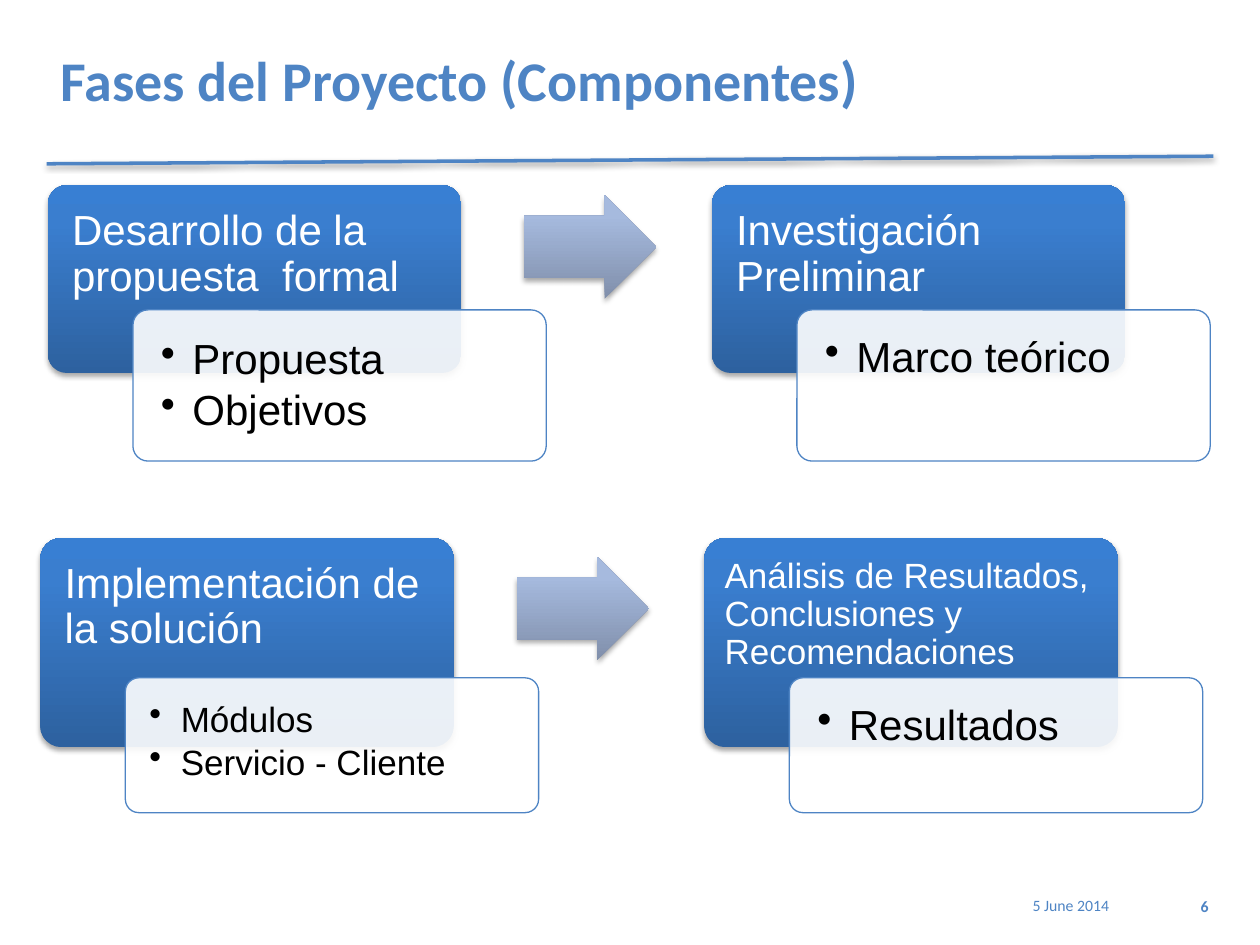
from lxml.etree import SubElement as Sub
from pptx import Presentation
from pptx.dml.color import RGBColor as RGB
from pptx.enum.shapes import MSO_CONNECTOR as Conn, MSO_SHAPE as Geo
from pptx.enum.text import MSO_ANCHOR as Anchor, PP_ALIGN as Align
from pptx.oxml.ns import qn
from pptx.util import Inches, Pt

HUES = {"blue": "4E84C4", "white": "FFFFFF", "black": "000000"}
BOX = [(0, "2D619F"), (80, "3A7ECF"), (100, "387FD3")]
ARROW = [(0, "808FAB"), (80, "A6BADE"), (100, "A6BAE0")]
WIDE = 3.28   # width of every card
STEP = 5.27   # gap from one card of a row to the next
SHIFT = 0.675  # offset of the list box inside a card

# Each row: left, top, head height, list top, list height, arrow top, cards
# Each card: heading, heading size, list items, list size
ROWS = [
    (0.38, 1.47, 1.49, 2.46, 1.2, 1.55, [
        ("Desarrollo de la propuesta \u00a0formal", 24,
         ["Propuesta", "Objetivos"], 24),
        ("Investigación Preliminar", 24, ["Marco teórico"], 24)]),
    (0.32, 4.27, 1.66, 5.38, 1.07, 4.42, [
        ("Implementación de la solución", 24,
         ["Módulos", "Servicio - Cliente"], 20),
        ("Análisis de Resultados, Conclusiones y Recomendaciones", 20,
         ["Resultados"], 24)]),
]


def put(item, vals):
    for name, val in vals.items():
        setattr(item, name, val)


def style(para, size, hue, face="Arial", bold=False, **vals):
    put(para, vals)
    put(para.font, {"size": Pt(size), "name": face, "bold": bold})
    para.font.color.rgb = RGB.from_string(HUES[hue])


def shade(props, alpha, blur=3.1, dist=1.8):
    """Drop a soft black shadow straight down."""
    fx = props.find(qn("a:effectLst"))
    if fx is None:
        fx = Sub(props, qn("a:effectLst"))
    drop = Sub(fx, qn("a:outerShdw"), blurRad=str(Pt(blur)),
               dist=str(Pt(dist)), dir="5400000", rotWithShape="0")
    tint = Sub(drop, qn("a:srgbClr"), val=HUES["black"])
    Sub(tint, qn("a:alpha"), val=str(alpha * 1000))


def form(slide, kind, area, adjs):
    shape = slide.shapes.add_shape(kind, *map(Inches, area))
    shape.shadow.inherit = False
    for num, adj in enumerate(adjs):
        shape.adjustments[num] = adj
    return shape


def blend(slide, kind, area, adjs, stops):
    """Shape with a vertical gradient and a shadow."""
    shape = form(slide, kind, area, adjs)
    shape.line.fill.background()
    shape.fill.gradient()
    shape.fill.gradient_angle = 90
    props = shape.element.spPr
    ramp = props.find(".//" + qn("a:gsLst"))
    for old in list(ramp):
        ramp.remove(old)
    for pos, hue in stops:
        stop = Sub(ramp, qn("a:gs"), pos=str(pos * 1000))
        Sub(stop, qn("a:srgbClr"), val=hue)
    shade(props, 35)


def pane(slide, area):
    """Nearly opaque white box for a list."""
    shape = form(slide, Geo.ROUNDED_RECTANGLE, area, [0.1])
    shape.fill.solid()
    shape.fill.fore_color.rgb = RGB.from_string(HUES["white"])
    tint = shape.element.spPr.find(qn("a:solidFill")).find(qn("a:srgbClr"))
    Sub(tint, qn("a:alpha"), val="90000")
    shape.line.color.rgb = RGB.from_string(HUES["blue"])
    shape.line.width = Pt(0.75)


def write(slide, area, lines, size, hue, pad=None, dots=False, **vals):
    frame = slide.shapes.add_textbox(*map(Inches, area)).text_frame
    frame.word_wrap = True
    if pad:
        sides = ("left", "top", "right", "bottom")
        put(frame, {f"margin_{side}": Inches(gap)
                    for side, gap in zip(sides, pad)})
    frame.text = "\n".join(lines)
    for para in frame.paragraphs:
        style(para, size, hue, **vals)
        if dots:
            props = para._p.get_or_add_pPr()
            props.set("marL", str(Inches(0.25)))
            props.set("indent", str(Inches(-0.25)))
            Sub(props, qn("a:buChar"), char="•")


def card(slide, left, row, data):
    top, high, low, deep = row
    head, size, items, small = data
    blend(slide, Geo.ROUNDED_RECTANGLE, (left, top, WIDE, high), [0.1], BOX)
    pad = size / 125
    write(slide, (left, top, WIDE, low - top), [head], size, "white",
          (pad, pad, pad, pad / 2), line_spacing=0.9,
          space_after=Pt(0.35 * size))
    left += SHIFT
    pane(slide, (left, low, WIDE, deep))
    write(slide, (left + 0.03, low + 0.03, WIDE - 0.06, deep - 0.06), items,
          small, "black", [small / 125] * 4, True, line_spacing=0.9,
          space_after=Pt(0.15 * small))


def title(slide, text):
    shape = slide.shapes.title
    put(shape, {"left": Inches(0.38), "top": Inches(0.3),
                "width": Inches(9.23), "height": Inches(0.65)})
    shape.text = text
    shape.text_frame.vertical_anchor = Anchor.MIDDLE
    style(shape.text_frame.paragraphs[0], 32, "blue", "Calibri", True,
          alignment=Align.LEFT)


def rule(slide):
    ends = map(Inches, (0.37, 1.3, 9.63, 1.24))
    line = slide.shapes.add_connector(Conn.STRAIGHT, *ends)
    line.line.color.rgb = RGB.from_string(HUES["blue"])
    line.line.width = Pt(2)
    shade(line.element.spPr, 38, dist=1.6)


def main():
    deck = Presentation()
    put(deck, {"slide_width": Inches(10), "slide_height": Inches(7.5)})
    slide = deck.slides.add_slide(deck.slide_layouts[5])

    # Heading
    title(slide, "Fases del Proyecto (Componentes)")
    rule(slide)

    # Two rows of phases, each with an arrow between its cards
    for left, *row, tip, cards in ROWS:
        for col, data in enumerate(cards):
            card(slide, left + col * STEP, row, data)
        blend(slide, Geo.RIGHT_ARROW, (left + 3.78, tip, 1.05, 0.82),
              [0.6, 0.5], ARROW)

    # Date and page number
    foot = {"face": "Calibri", "alignment": Align.RIGHT}
    write(slide, (7.35, 7.06, 1.55, 0.35), ["5 June 2014"], 9, "blue", **foot)
    write(slide, (9.27, 7.07, 0.42, 0.29), ["6"], 9, "blue", bold=True, **foot)

    deck.save("out.pptx")


main()
